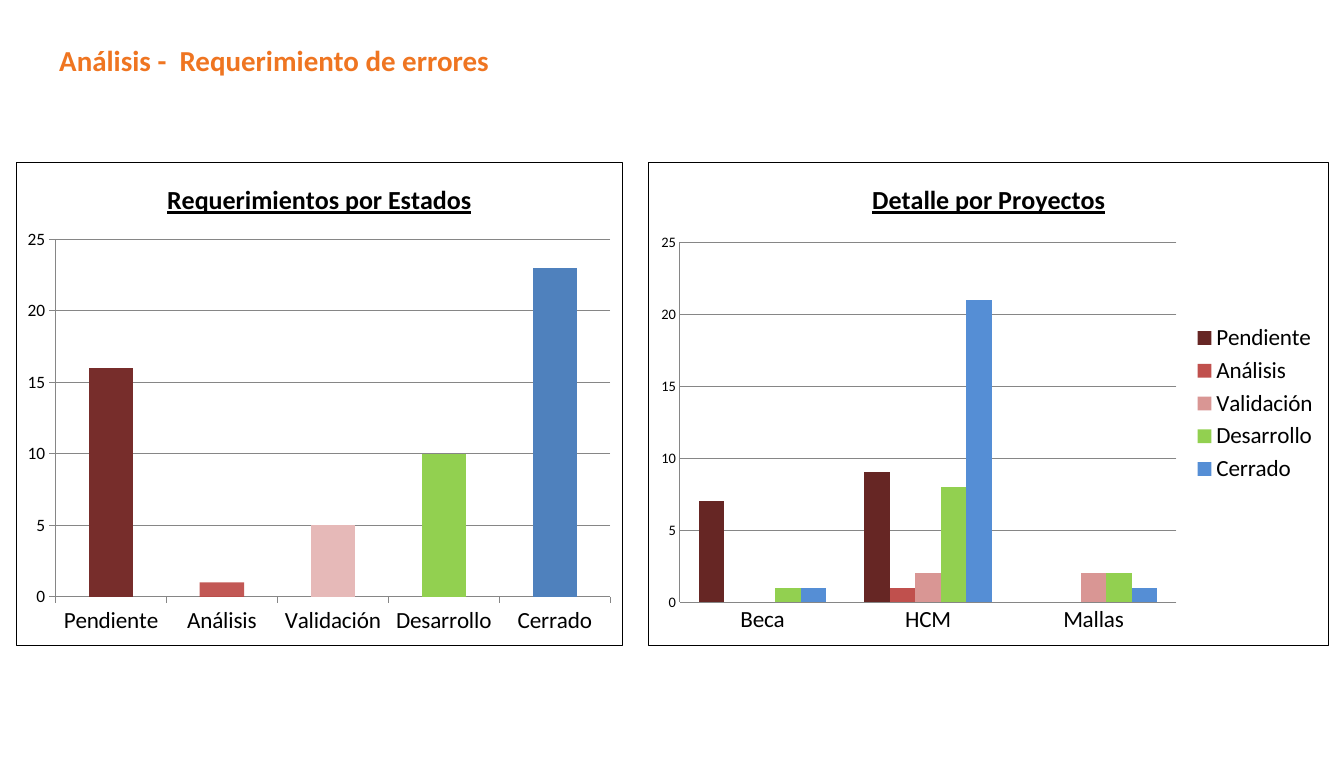
from dataclasses import dataclass, field

from lxml import etree
from pptx import Presentation
from pptx import util as u
from pptx.chart import data as chart_data
from pptx.dml.color import RGBColor
from pptx.enum import chart as chart_enum
from pptx.enum import text
from pptx.oxml.ns import qn

COLORS = {
    "title": "EF7521", "text": "000000", "axis": "868686",
    "dark_red": "772D2B", "red": "BD4A47", "pink": "E6B9B8",
    "green": "92D050", "blue": "4F81BD", "maroon": "662624",
    "brick": "C0504D", "rose": "D99694", "sky": "558ED5",
}
FONT = "Calibri"
STATES = ["Pendiente", "Análisis", "Validación", "Desarrollo", "Cerrado"]
CHART_TOP, CHART_HEIGHT = 3.94, 11.81


@dataclass
class Series:
    name: str
    values: list[int | None]
    color: str
    point_colors: list[str] = field(default_factory=list)


@dataclass
class ColumnChart:
    title: str
    left: float
    width: float
    categories: list[str]
    series: list[Series]
    value_size: int
    tick: chart_enum.XL_TICK_MARK
    plot_area: tuple[float, float, float, float]
    has_legend: bool


CHARTS = [
    ColumnChart(
        "Requerimientos por Estados", 0.38, 14.81, STATES,
        [Series("Series 1", [16, 1, 5, 10, 23], "blue",
                ["dark_red", "red", "pink", "green"])],
        12, chart_enum.XL_TICK_MARK.OUTSIDE, (0.065, 0.16, 0.915, 0.74), False),
    ColumnChart(
        "Detalle por Proyectos", 15.8, 16.61, ["Beca", "HCM", "Mallas"],
        [Series(name, values, color) for name, values, color in zip(
            STATES,
            [[7, 9, None], [None, 1, None], [None, 2, 2], [1, 8, 2], [1, 21, 1]],
            ["maroon", "brick", "rose", "green", "sky"])],
        10, chart_enum.XL_TICK_MARK.NONE, (0.046, 0.166, 0.73, 0.745), True),
]


def rgb(name: str) -> RGBColor:
    return RGBColor.from_string(COLORS[name])


def set_attributes(target, values: dict) -> None:
    for name, value in values.items():
        setattr(target, name, value)


def format_font(font, size: int, color: str = "text", **values) -> None:
    set_attributes(font, {"name": FONT, "size": u.Pt(size), **values})
    font.color.rgb = rgb(color)


def fill_solid(fill, color: str) -> None:
    fill.solid()
    fill.fore_color.rgb = rgb(color)


def add_border(chart) -> None:
    space = chart.element
    properties = etree.SubElement(space, qn("c:spPr"))
    space.find(qn("c:chart")).addnext(properties)
    etree.SubElement(properties, qn("a:noFill"))
    line = etree.SubElement(properties, qn("a:ln"), w=str(u.Pt(0.75)))
    fill = etree.SubElement(line, qn("a:solidFill"))
    etree.SubElement(fill, qn("a:srgbClr"), val=COLORS["text"])


def place_plot_area(chart, position: tuple[float, float, float, float]) -> None:
    plot_area = chart.element.find(qn("c:chart")).find(qn("c:plotArea"))
    for layout in plot_area.findall(qn("c:layout")):
        plot_area.remove(layout)
    layout = etree.SubElement(plot_area, qn("c:layout"))
    plot_area.insert(0, layout)
    manual = etree.SubElement(layout, qn("c:manualLayout"))
    settings = {"layoutTarget": "inner", "xMode": "edge", "yMode": "edge",
                **dict(zip("xywh", position))}
    for tag, value in settings.items():
        etree.SubElement(manual, qn(f"c:{tag}"), val=str(value))


def format_axis(axis, size: int, tick: chart_enum.XL_TICK_MARK) -> None:
    set_attributes(axis, {"major_tick_mark": tick,
                          "minor_tick_mark": chart_enum.XL_TICK_MARK.NONE})
    format_font(axis.tick_labels.font, size)
    set_attributes(axis.format.line, {"width": u.Pt(0.75)})
    axis.format.line.color.rgb = rgb("axis")


def color_series(chart, series_list: list[Series]) -> None:
    for drawn, series in zip(chart.plots[0].series, series_list):
        drawn.invert_if_negative = False
        fill_solid(drawn.format.fill, series.color)
        for index, color in enumerate(series.point_colors):
            fill = drawn.points[index].format.fill
            fill_solid(fill, color)
            if color == "red":
                point = drawn.points[index].format.fill
                for node in drawn.points[index].data_label._element.iter(qn("a:srgbClr")):
                    if node.get("val") == COLORS[color]:
                        etree.SubElement(node, qn("a:alpha"), val="92000")


def add_column_chart(slide, spec_chart: ColumnChart) -> None:
    data = chart_data.CategoryChartData()
    data.categories = spec_chart.categories
    for series in spec_chart.series:
        data.add_series(series.name, series.values)
    chart = slide.shapes.add_chart(
        chart_enum.XL_CHART_TYPE.COLUMN_CLUSTERED,
        u.Cm(spec_chart.left), u.Cm(CHART_TOP),
        u.Cm(spec_chart.width), u.Cm(CHART_HEIGHT), data).chart
    format_font(chart.font, 10)
    set_attributes(chart, {"has_title": True, "has_legend": spec_chart.has_legend})
    chart.chart_title.include_in_layout = False
    paragraph = chart.chart_title.text_frame.paragraphs[0]
    run = paragraph.add_run()
    run.text = spec_chart.title
    format_font(run.font, 18, bold=True, underline=True)
    set_attributes(chart.plots[0], {"gap_width": 150, "overlap": 0,
                                    "vary_by_categories": False})
    color_series(chart, spec_chart.series)
    format_axis(chart.category_axis, 16, spec_chart.tick)
    format_axis(chart.value_axis, spec_chart.value_size, spec_chart.tick)
    set_attributes(chart.value_axis, {"minimum_scale": 0, "maximum_scale": 25,
                                      "major_unit": 5, "has_major_gridlines": True})
    chart.value_axis.major_gridlines.format.line.color.rgb = rgb("axis")
    if spec_chart.has_legend:
        set_attributes(chart.legend, {
            "position": chart_enum.XL_LEGEND_POSITION.RIGHT,
            "include_in_layout": False})
        format_font(chart.legend.font, 16)
    place_plot_area(chart, spec_chart.plot_area)
    add_border(chart)


def add_title(slide) -> None:
    shape = slide.shapes.title
    set_attributes(shape, {"left": u.Cm(1.19), "top": u.Cm(0.91),
                           "width": u.Cm(13.59), "height": u.Cm(0.99)})
    set_attributes(shape.text_frame, {
        "text": "Análisis -  Requerimiento de errores", "word_wrap": True,
        "auto_size": text.MSO_AUTO_SIZE.NONE,
        "vertical_anchor": text.MSO_ANCHOR.TOP})
    paragraph = shape.text_frame.paragraphs[0]
    paragraph.alignment = text.PP_ALIGN.LEFT
    format_font(paragraph.runs[0].font, 20, "title", bold=True)


def main() -> None:
    presentation = Presentation()
    set_attributes(presentation, {"slide_width": u.Cm(32.77),
                                  "slide_height": u.Cm(19.05)})
    slide = presentation.slides.add_slide(presentation.slide_layouts[5])
    add_title(slide)
    for column_chart in CHARTS:
        add_column_chart(slide, column_chart)
    presentation.save("out.pptx")


if __name__ == "__main__":
    main()
